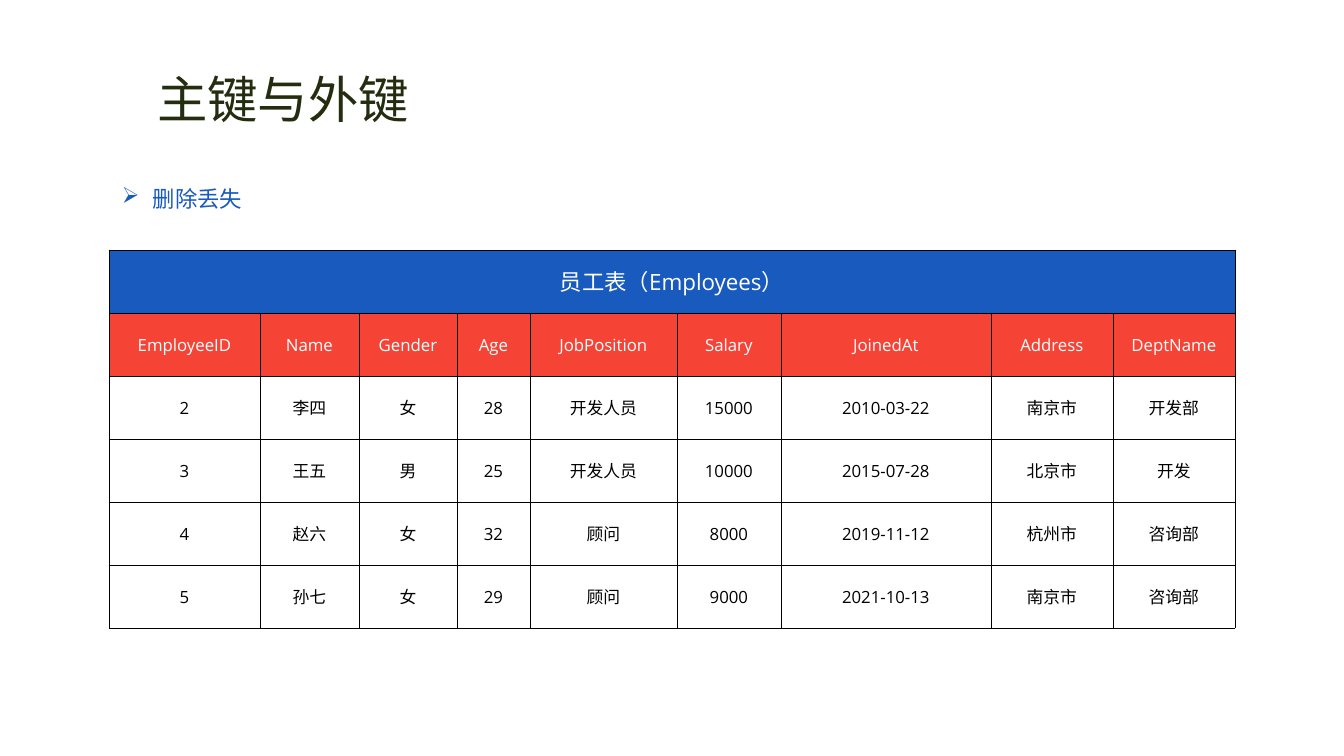
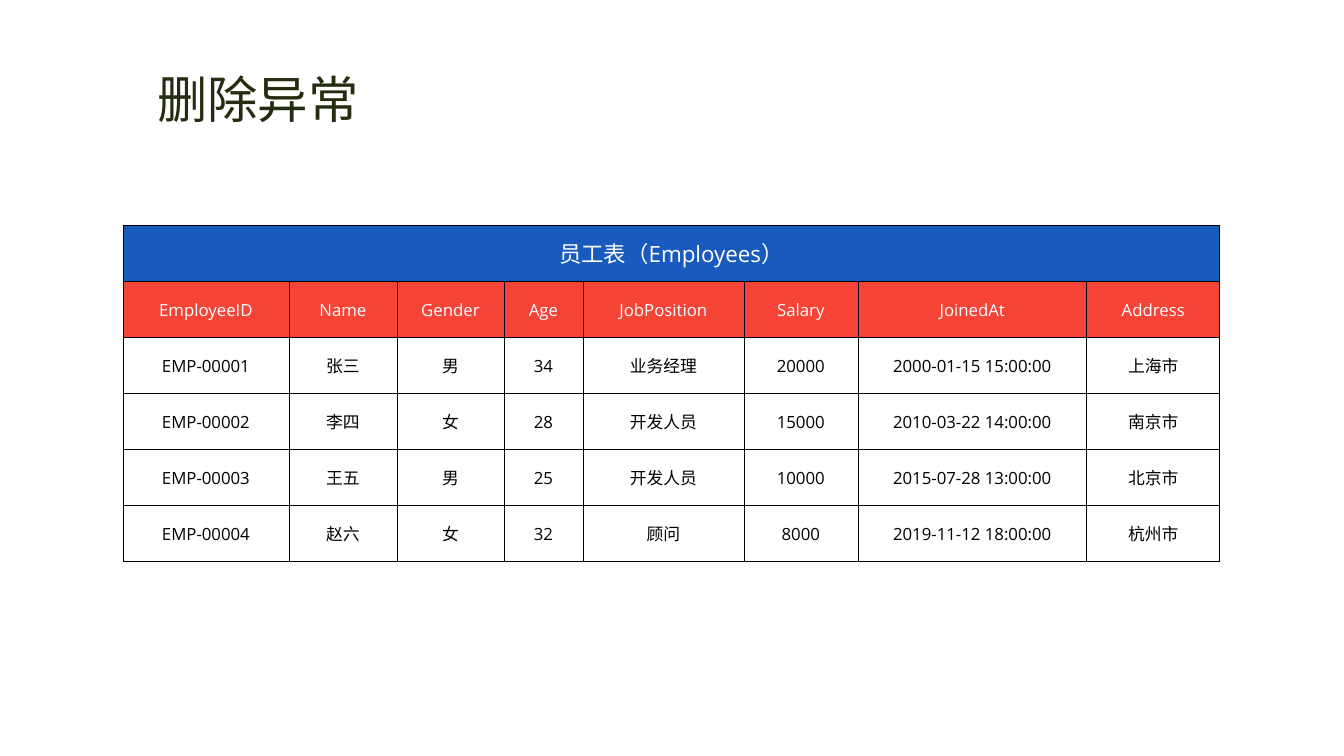
from dataclasses import dataclass

from lxml.etree import SubElement
from pptx import Presentation
from pptx.dml.color import RGBColor
from pptx.enum.text import MSO_ANCHOR, MSO_AUTO_SIZE, PP_ALIGN
from pptx.oxml.ns import qn
from pptx.util import Pt


@dataclass(frozen=True)
class Theme:
    font: str = "Open Sans"
    title_color: str = "242D10"
    blue: str = "185ABD"
    red: str = "F54336"
    white: str = "FFFFFF"
    black: str = "000000"
    title_size: int = 36
    heading_size: int = 16
    body_size: int = 12
    border_width: float = 0.5


THEME = Theme()
EMU_PER_PX = 914400 / 100.8
SLIDE_WIDTH, SLIDE_HEIGHT = 1344, 756
TITLE_LEFT, TITLE_TOP, TITLE_HEIGHT = 147, 63, 71
TITLE_CHARACTER_WIDTH, TITLE_PADDING = 51, 20
TABLE_TITLE = "员工表（Employees）"
FIELDS = ["EmployeeID", "Name", "Gender", "Age", "JobPosition",
          "Salary", "JoinedAt", "Address", "DeptName"]


def px(length):
    return round(length * EMU_PER_PX)


def style_paragraph(paragraph, size, color, alignment=PP_ALIGN.LEFT):
    paragraph.alignment = alignment
    font = paragraph.font
    font.size = Pt(size)
    font.color.rgb = RGBColor.from_string(color)
    font.name = THEME.font
    # East Asian text uses the same font
    properties = paragraph._p.get_or_add_pPr().find(qn("a:defRPr"))
    SubElement(properties, qn("a:ea"), typeface=THEME.font)


def add_titled_slide(presentation, text):
    slide = presentation.slides.add_slide(presentation.slide_layouts[5])
    title = slide.shapes.title
    title.left, title.top = px(TITLE_LEFT), px(TITLE_TOP)
    title.width = px(len(text) * TITLE_CHARACTER_WIDTH + TITLE_PADDING)
    title.height = px(TITLE_HEIGHT)
    frame = title.text_frame
    frame.text = text
    frame.word_wrap = False
    frame.auto_size = MSO_AUTO_SIZE.SHAPE_TO_FIT_TEXT
    frame.vertical_anchor = MSO_ANCHOR.TOP
    style_paragraph(frame.paragraphs[0], THEME.title_size, THEME.title_color)
    return slide


def add_bullet(slide, text, left, top, width, height):
    box = slide.shapes.add_textbox(px(left), px(top), px(width), px(height))
    frame = box.text_frame
    frame.word_wrap = True
    frame.auto_size = MSO_AUTO_SIZE.SHAPE_TO_FIT_TEXT
    paragraph = frame.paragraphs[0]
    paragraph.text = text
    paragraph.line_spacing = 2.0
    # Hanging indent and arrow bullet
    indent = px(31)
    properties = paragraph._p.get_or_add_pPr()
    properties.set("marL", str(indent))
    properties.set("indent", str(-indent))
    SubElement(properties, qn("a:buChar"), char="➢")
    style_paragraph(paragraph, THEME.heading_size, THEME.blue)


def add_cell_borders(cell):
    properties = cell._tc.get_or_add_tcPr()
    for side in ("lnL", "lnR", "lnT", "lnB"):
        line = SubElement(properties, qn(f"a:{side}"), w=str(Pt(THEME.border_width)))
        fill = SubElement(line, qn("a:solidFill"))
        SubElement(fill, qn("a:srgbClr"), val=THEME.black)


def format_cell(cell, text, size, color, fill):
    add_cell_borders(cell)
    cell.fill.solid()
    cell.fill.fore_color.rgb = RGBColor.from_string(fill)
    cell.vertical_anchor = MSO_ANCHOR.MIDDLE
    cell.margin_left = cell.margin_right = cell.margin_top = px(1)
    cell.margin_bottom = 0
    cell.text = text
    style_paragraph(cell.text_frame.paragraphs[0], size, color, PP_ALIGN.CENTER)


def add_employee_table(slide, left, top, column_widths, row_height, records):
    column_count = len(column_widths)
    title_row = [TABLE_TITLE] + [""] * (column_count - 1)
    rows = [title_row, FIELDS[:column_count], *records]
    table = slide.shapes.add_table(
        len(rows), column_count, px(left), px(top),
        px(sum(column_widths)), px(row_height * len(rows))).table
    table.first_row = table.horz_banding = False
    for column, width in zip(table.columns, column_widths):
        column.width = px(width)

    # Title band, field names, then records
    title_style = (THEME.heading_size, THEME.white, THEME.blue)
    field_style = (THEME.body_size, THEME.white, THEME.red)
    record_style = (THEME.body_size, THEME.black, THEME.white)
    styles = [title_style, field_style] + [record_style] * len(records)
    for row, values, style in zip(table.rows, rows, styles):
        row.height = px(row_height)
        for cell, value in zip(row.cells, values):
            format_cell(cell, value, *style)
    table.cell(0, 0).merge(table.cell(0, column_count - 1))


def build_keys_slide(presentation):
    slide = add_titled_slide(presentation, "主键与外键")
    add_bullet(slide, "删除丢失", 112, 153, 275, 56)
    add_employee_table(
        slide, 109, 250, [151, 99, 98, 73, 147, 104, 210, 122, 122], 63,
        [
            ["2", "李四", "女", "28", "开发人员", "15000", "2010-03-22", "南京市", "开发部"],
            ["3", "王五", "男", "25", "开发人员", "10000", "2015-07-28", "北京市", "开发"],
            ["4", "赵六", "女", "32", "顾问", "8000", "2019-11-12", "杭州市", "咨询部"],
            ["5", "孙七", "女", "29", "顾问", "9000", "2021-10-13", "南京市", "咨询部"],
        ])


def build_deletion_slide(presentation):
    slide = add_titled_slide(presentation, "删除异常")
    add_employee_table(
        slide, 123, 225, [166, 108, 107, 79, 161, 114, 229, 133], 56,
        [
            ["EMP-00001", "张三", "男", "34", "业务经理", "20000", "2000-01-15 15:00:00", "上海市"],
            ["EMP-00002", "李四", "女", "28", "开发人员", "15000", "2010-03-22 14:00:00", "南京市"],
            ["EMP-00003", "王五", "男", "25", "开发人员", "10000", "2015-07-28 13:00:00", "北京市"],
            ["EMP-00004", "赵六", "女", "32", "顾问", "8000", "2019-11-12 18:00:00", "杭州市"],
        ])


def main():
    presentation = Presentation()
    presentation.slide_width = px(SLIDE_WIDTH)
    presentation.slide_height = px(SLIDE_HEIGHT)
    build_keys_slide(presentation)
    build_deletion_slide(presentation)
    presentation.save("out.pptx")


if __name__ == "__main__":
    main()
